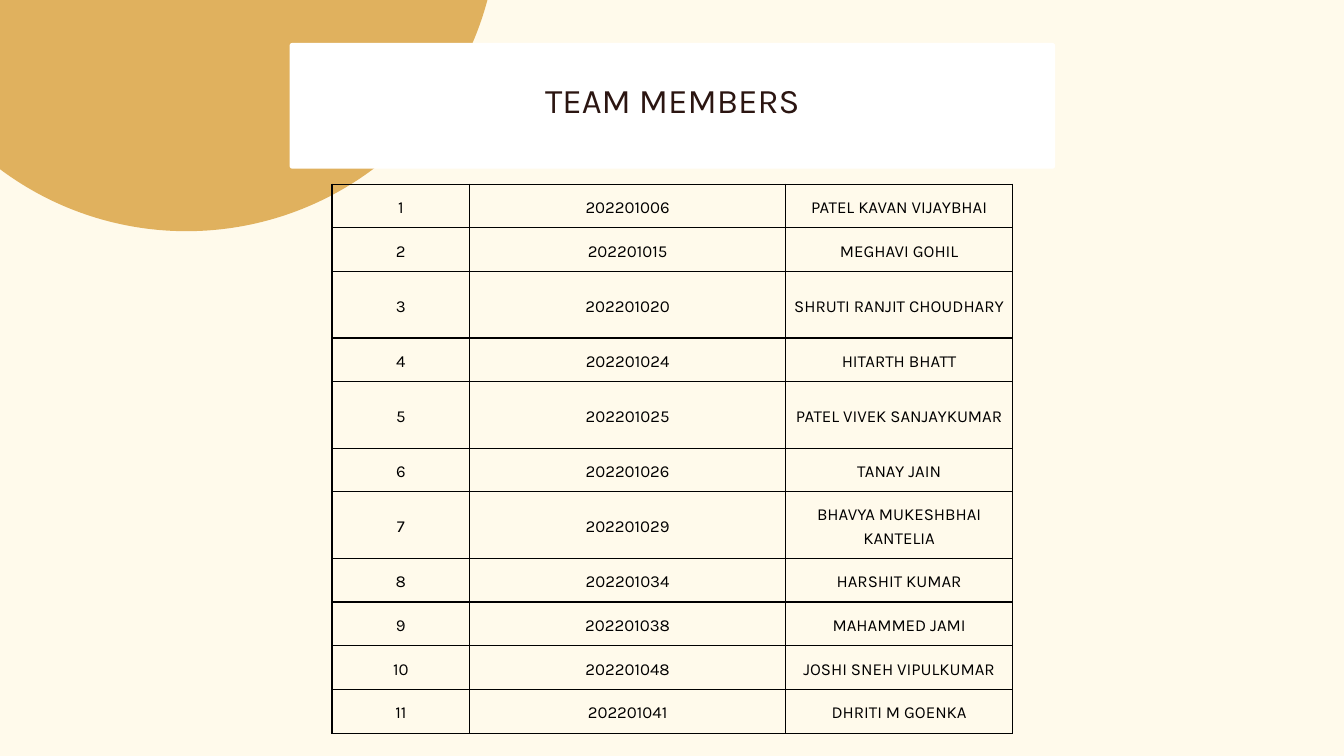
from lxml import etree
from pptx import Presentation
from pptx import util as u
from pptx.dml.color import RGBColor
from pptx.enum import shapes, text
from pptx.oxml import ns

COLORS = {
    "cream": "FFFAEB",
    "gold": "E0B15E",
    "white": "FFFFFF",
    "brown": "2B1511",
    "black": "000000",
}
MEMBERS = [
    ("202201006", "PATEL KAVAN VIJAYBHAI"),
    ("202201015", "MEGHAVI GOHIL"),
    ("202201020", "SHRUTI RANJIT CHOUDHARY"),
    ("202201024", "HITARTH BHATT"),
    ("202201025", "PATEL VIVEK SANJAYKUMAR"),
    ("202201026", "TANAY JAIN"),
    ("202201029", "BHAVYA MUKESHBHAI KANTELIA"),
    ("202201034", "HARSHIT KUMAR"),
    ("202201038", "MAHAMMED JAMI"),
    ("202201048", "JOSHI SNEH VIPULKUMAR"),
    ("202201041", "DHRITI M GOENKA"),
]
COLUMN_WIDTHS = [2.05, 4.7, 3.38]
ROW_HEIGHT, TALL_ROW_HEIGHT = 0.65, 0.99
TALL_NAME_LENGTH = 22


def color(name):
    return RGBColor.from_string(COLORS[name])


def add_panel(page, kind, box, fill):
    panel = page.shapes.add_shape(kind, *map(u.Inches, box))
    panel.shadow.inherit = False
    panel.fill.solid()
    panel.fill.fore_color.rgb = color(fill)
    panel.line.fill.background()
    return panel


def set_margins(target, inset):
    target.margin_left = target.margin_right = u.Inches(inset)
    target.margin_top = target.margin_bottom = u.Inches(inset)


def write_centred(frame, words, size, spacing, ink):
    frame.word_wrap = True
    frame.text = words
    para = frame.paragraphs[0]
    para.alignment = text.PP_ALIGN.CENTER
    para.line_spacing = u.Pt(spacing)
    for span in para.runs:
        span.font.name = "Karla"
        span.font.size = u.Pt(size)
        span.font.color.rgb = color(ink)


def add_title(page, box):
    left, top, width, height = box
    banner = add_panel(page, shapes.MSO_SHAPE.ROUNDED_RECTANGLE, box, "white")
    banner.adjustments[0] = 0.02
    rise = 0.28
    title = page.shapes.add_textbox(
        *map(u.Inches, (left, top - rise, width, height + rise)))
    frame = title.text_frame
    set_margins(frame, 0.24)
    frame.vertical_anchor = text.MSO_ANCHOR.MIDDLE
    write_centred(frame, "TEAM MEMBERS", 37, 51.8, "brown")


def add_borders(cell, width):
    properties = cell._tc.get_or_add_tcPr()
    for index, side in enumerate(("lnL", "lnR", "lnT", "lnB")):
        line = etree.Element(ns.qn(f"a:{side}"), w=str(u.Pt(width)))
        fill = etree.SubElement(line, ns.qn("a:solidFill"))
        etree.SubElement(fill, ns.qn("a:srgbClr"), val=COLORS["black"])
        properties.insert(index, line)


def add_members(page, box):
    table = page.shapes.add_table(
        len(MEMBERS), len(COLUMN_WIDTHS), *map(u.Inches, box)).table
    table.first_row = table.horz_banding = False
    for column, width in zip(table.columns, COLUMN_WIDTHS):
        column.width = u.Inches(width)
    for number, (row, member) in enumerate(zip(table.rows, MEMBERS), 1):
        tall = len(member[1]) >= TALL_NAME_LENGTH
        row.height = u.Inches(TALL_ROW_HEIGHT if tall else ROW_HEIGHT)
        for cell, words in zip(row.cells, (str(number), *member)):
            cell.fill.background()
            set_margins(cell, 0.12)
            cell.vertical_anchor = text.MSO_ANCHOR.MIDDLE
            write_centred(cell.text_frame, words, 18, 25.2, "black")
            add_borders(cell, 1.5)


def main():
    deck = Presentation()
    deck.slide_width, deck.slide_height = u.Inches(20), u.Inches(11.25)
    page = deck.slides.add_slide(deck.slide_layouts[6])
    page.background.fill.solid()
    page.background.fill.fore_color.rgb = color("cream")
    add_panel(page, shapes.MSO_SHAPE.OVAL, (-1.86, -5.83, 9.27, 9.27), "gold")
    add_title(page, (4.31, 0.64, 11.39, 1.87))
    add_members(page, (4.94, 2.74, 10.13, 8.16))
    deck.save("out.pptx")


if __name__ == "__main__":
    main()
